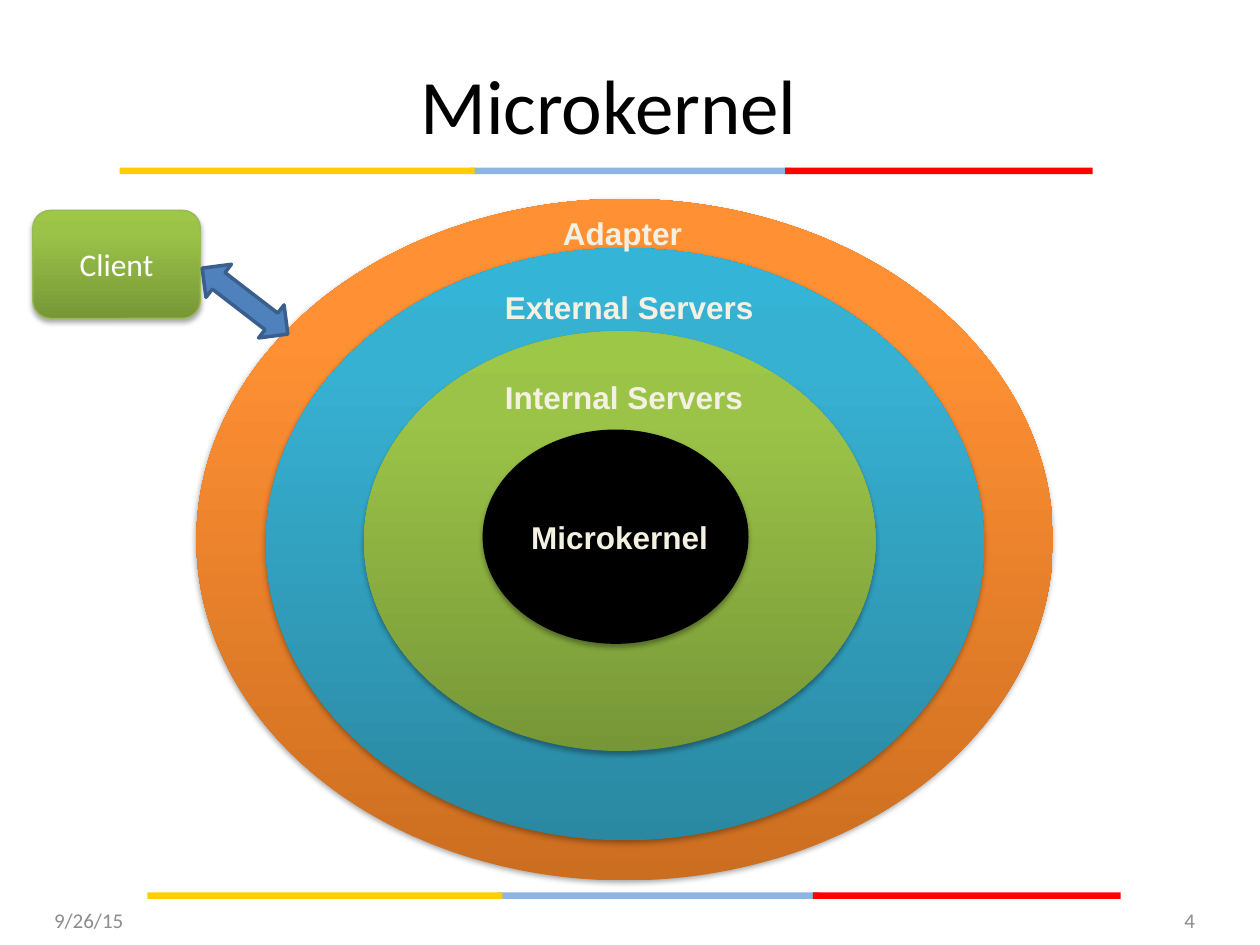
"""Build the Microkernel slide: nested layers of servers reached by a client."""
from dataclasses import dataclass

from lxml import etree
from pptx import Presentation
from pptx.dml.color import RGBColor
from pptx.enum import shapes as sh, text as tx
from pptx.oxml import parse_xml
from pptx.util import Cm, Pt

NS = "http://schemas.openxmlformats.org/drawingml/2006/main"
HUES = {
    "gold": "FFCE00", "sky": "8EB4E3", "red": "FF0000",
    "black": "000000", "white": "FFFFFF", "cream": "F4F1E3", "gray": "8C8C8C",
    "edge": "98B955", "blue": "4F81BD", "navy": "3A5F8C",
}
FADES = {
    "orange": ("CC6E20", "FF9034", "FF9136"),
    "teal": ("2A88A2", "37B1D2", "34B4D6"),
    "green": ("779737", "9BC348", "9DC746"),
}
KIND = sh.MSO_SHAPE
ALIGN = tx.PP_ALIGN


@dataclass
class Box:
    """Place and size in centimetres."""
    x: float
    y: float
    w: float
    h: float

    def emu(self) -> tuple:
        """Return the four lengths for python-pptx."""
        return Cm(self.x), Cm(self.y), Cm(self.w), Cm(self.h)


@dataclass
class Layer:
    """One ellipse with its label."""
    name: str
    fill: str
    box: Box
    label: Box


@dataclass
class Band:
    """One coloured part of a rule, offset from the rule's left end."""
    fill: str
    dx: float
    w: float


BANDS = [Band("sky", 7.06, 6.48), Band("red", 13.42, 6.2), Band("gold", 0, 7.16)]
RULES = [(2.41, 3.38), (2.97, 17.99)]
LAYERS = [
    Layer("Adapter", "orange", Box(3.96, 4.01, 17.27, 13.74), Box(11.1, 4.19, 2.95, 0.86)),
    Layer("External Servers", "teal", Box(5.36, 5, 14.48, 11.94), Box(9.93, 5.69, 5.56, 0.86)),
    Layer("Internal Servers", "green", Box(7.34, 6.68, 10.31, 8.46), Box(9.93, 7.49, 5.36, 0.86)),
    Layer("Microkernel", "black", Box(9.73, 8.66, 5.36, 4.32), Box(10.46, 10.31, 4.11, 0.86)),
]


def rgb(name: str) -> RGBColor:
    """Look up a named colour."""
    return RGBColor.from_string(HUES[name])


def fade(shape, name: str) -> None:
    """Fill a shape with a three-stop gradient that rises from the bottom."""
    shape.fill.gradient()
    grad = shape._element.spPr.find(f"{{{NS}}}gradFill")
    stops = grad.find(f"{{{NS}}}gsLst")
    for old in list(stops):
        stops.remove(old)
    for pos, hue in zip((0, 80000, 100000), FADES[name]):
        stop = etree.SubElement(stops, f"{{{NS}}}gs", pos=str(pos))
        etree.SubElement(stop, f"{{{NS}}}srgbClr", val=hue)
    grad.find(f"{{{NS}}}lin").set("ang", "16200000")


def shade(shape) -> None:
    """Give a shape a soft shadow below it."""
    shape._element.spPr.find(f"{{{NS}}}effectLst").append(parse_xml(
        f'<a:outerShdw xmlns:a="{NS}" blurRad="{Pt(3.1)}" dist="{Pt(1.8)}" '
        'dir="5400000" rotWithShape="0"><a:srgbClr val="000000">'
        '<a:alpha val="35000"/></a:srgbClr></a:outerShdw>'))


def draw(slide, kind, box: Box, fill: str, line: str = "", width: float = 0.75):
    """Add a preset shape with a flat or graded fill."""
    shape = slide.shapes.add_shape(kind, *box.emu())
    shape.shadow.inherit = False
    if fill in FADES:
        fade(shape, fill)
    else:
        shape.fill.solid()
        shape.fill.fore_color.rgb = rgb(fill)
    if line:
        shape.line.color.rgb = rgb(line)
        shape.line.width = Pt(width)
    else:
        shape.line.fill.background()
    return shape


def write(shape, words: str, size: int, hue: str, font: str = "Calibri",
          align=ALIGN.CENTER, bold: bool = False) -> None:
    """Set and format the text of a shape."""
    shape.text_frame.text = words
    para = shape.text_frame.paragraphs[0]
    para.alignment = align
    face = para.runs[0].font
    face.name, face.size, face.bold = font, Pt(size), bold
    face.color.rgb = rgb(hue)


def label(slide, layer: Layer) -> None:
    """Add the label of a layer."""
    item = slide.shapes.add_textbox(*layer.label.emu())
    item.text_frame.word_wrap = False
    item.text_frame.auto_size = tx.MSO_AUTO_SIZE.SHAPE_TO_FIT_TEXT
    write(item, layer.name, 18, "cream", "Arial", ALIGN.LEFT, True)


def foot(slide, words: str, x: float, align) -> None:
    """Add a footer text."""
    item = slide.shapes.add_textbox(*Box(x, 18.03, 5.92, 1.02).emu())
    item.text_frame.word_wrap = True
    item.text_frame.vertical_anchor = tx.MSO_ANCHOR.MIDDLE
    write(item, words, 12, "gray", align=align)


def main() -> None:
    """Build and save the slide."""
    deck = Presentation()
    deck.slide_width, deck.slide_height = Cm(25.4), Cm(19.05)
    slide = deck.slides.add_slide(deck.slide_layouts[5])

    title = slide.shapes.title
    title.left, title.top, title.width, title.height = Box(0.84, 0.79, 22.86, 2.62).emu()
    title.text_frame.vertical_anchor = tx.MSO_ANCHOR.MIDDLE
    write(title, "Microkernel", 44, "black")

    for x, y in RULES:
        for band in BANDS:
            draw(slide, KIND.RECTANGLE, Box(x + band.dx, y, band.w, 0.13), band.fill)

    client = draw(slide, KIND.ROUNDED_RECTANGLE, Box(0.66, 4.24, 3.38, 2.18), "green", "edge")
    shade(client)
    client.text_frame.vertical_anchor = tx.MSO_ANCHOR.MIDDLE
    write(client, "Client", 18, "white")

    for layer in LAYERS:
        shade(draw(slide, KIND.OVAL, layer.box, layer.fill))
    for layer in LAYERS:
        label(slide, layer)

    arrow = draw(slide, KIND.UP_DOWN_ARROW, Box(4.52, 4.98, 0.84, 2.18), "blue", "navy", 2)
    arrow.rotation = 307.6

    foot(slide, "9/26/15", 0.84, ALIGN.LEFT)
    foot(slide, "4", 18.42, ALIGN.RIGHT)
    deck.save("out.pptx")


if __name__ == "__main__":
    main()
